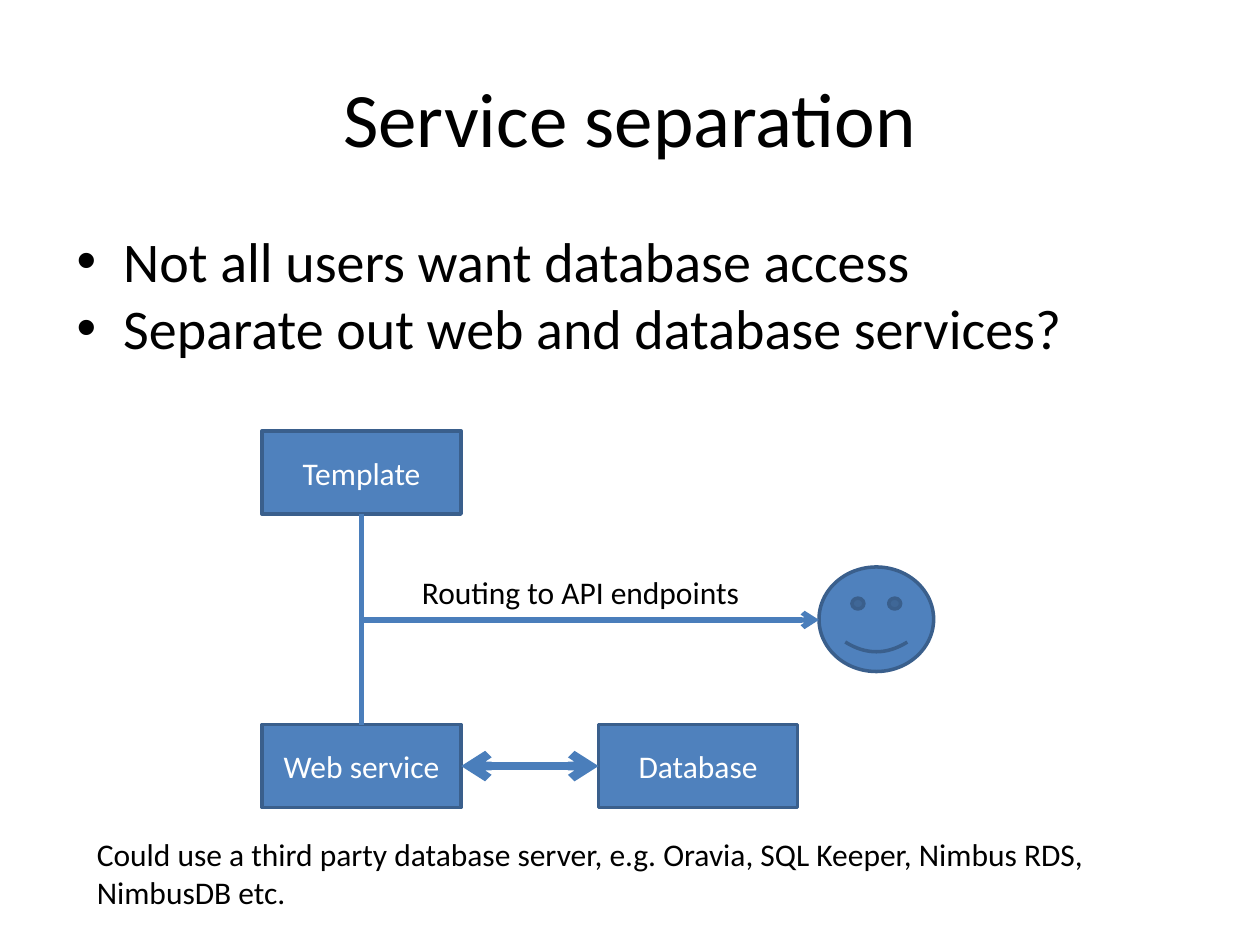
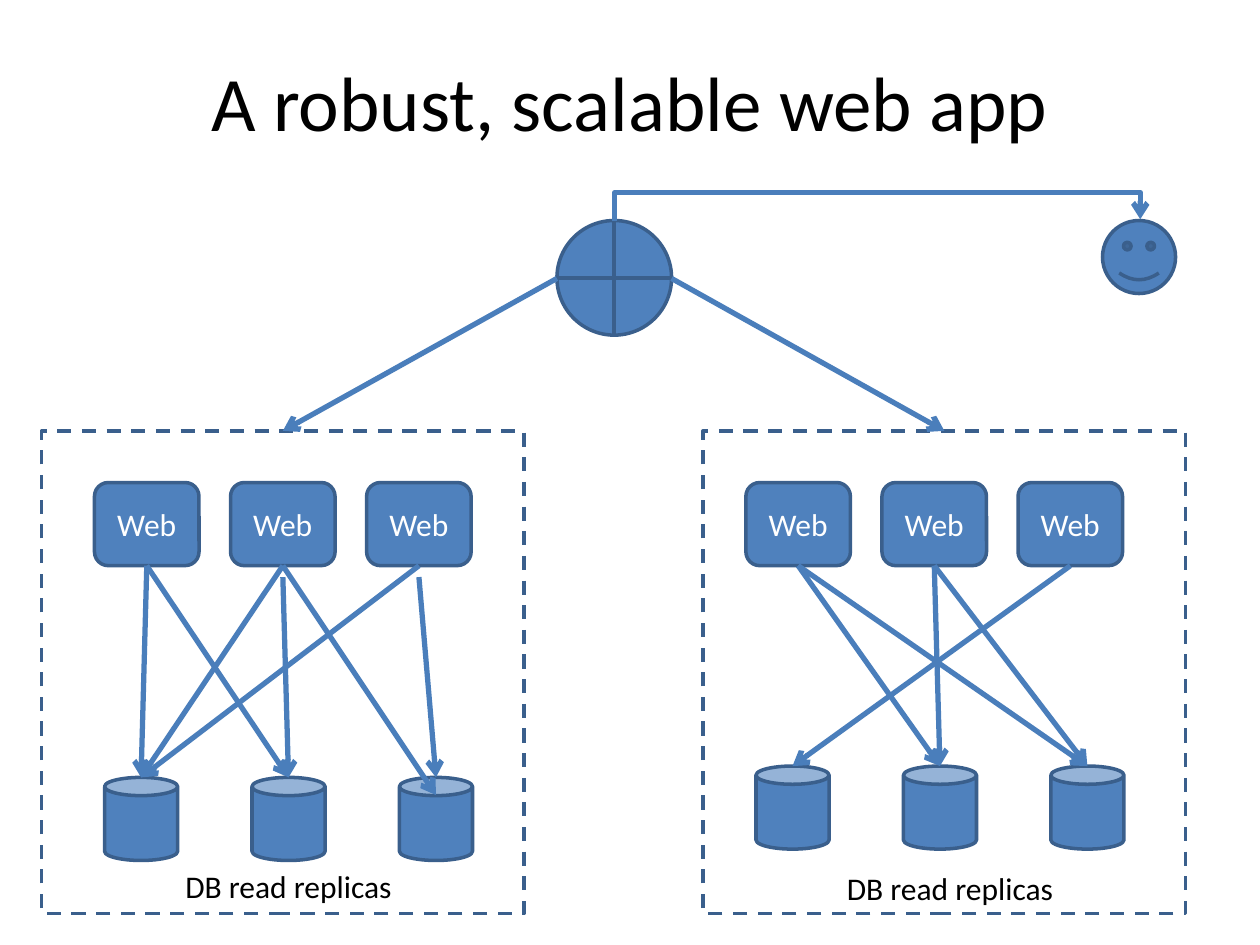
from pptx import Presentation
from pptx.dml.color import RGBColor
from pptx.enum import dml, shapes, text
from pptx.oxml.ns import qn
from pptx.util import Inches, Pt
from lxml import etree

FONT = "Calibri"
BLACK, WHITE = "000000", "FFFFFF"
FILL, OUTLINE, WIRE = "4F81BD", "3A5F8C", "4A7EBB"
SHAPE = shapes.MSO_SHAPE

SEPARATION = {
    "title": "Service separation",
    "bullets": ["Not all users want database access",
                "Separate out web and database services?"],
    "services": {"Template": (2.08, 3.42), "Web service": (2.08, 5.75),
                 "Database": (4.75, 5.75)},
    "routing": "Routing to API endpoints",
    "note": "Could use a third party database server, e.g. Oravia, "
            "SQL Keeper, Nimbus RDS, NimbusDB etc.",
}
SERVICE_SIZE = (1.58, 0.66)

SCALABLE = {"title": "A robust, scalable web app", "server": "Web",
            "replicas": "DB read replicas"}
# links: (server, replica, gap below the server, overlap into the replica)
CLUSTERS = [
    {"frame": 0.33, "servers": 0.75, "replicas": (0.83, 6.17), "label": (0.5, 6.83),
     "links": [(0, 1, 0, 0), (0, 0, 0, 0), (1, 0, 0, 0), (1, 1, 0.09, 0),
               (1, 2, 0, 0.14), (2, 0, 0, 0), (2, 2, 0.09, 0)]},
    {"frame": 5.58, "servers": 5.92, "replicas": (6, 6.08), "label": (5.75, 6.85),
     "links": [(0, 1, 0, 0), (1, 2, 0, 0), (2, 0, 0, 0), (1, 1, 0, 0), (0, 2, 0, 0)]},
]
FRAME_TOP, FRAME_SIDE = 3.42, 3.83
SERVER_TOP, SERVER_SIZE, SERVER_PITCH = 3.83, (0.83, 0.66), 1.08
REPLICA_SIZE, REPLICA_PITCH = (0.58, 0.66), 1.17


def color(hex_string):
    return RGBColor.from_string(hex_string)


def write(shape, lines, size=18, ink=BLACK, align=text.PP_ALIGN.LEFT,
          anchor=text.MSO_ANCHOR.TOP, bullet=False):
    frame = shape.text_frame
    frame.word_wrap = True
    frame.vertical_anchor = anchor
    for index, line in enumerate(lines):
        paragraph = frame.paragraphs[0] if index == 0 else frame.add_paragraph()
        paragraph.text = line
        paragraph.alignment = align
        if bullet:
            props = paragraph._p.get_or_add_pPr()
            props.set("marL", str(Inches(0.38)))
            props.set("indent", str(-Inches(0.37)))
            etree.SubElement(props, qn("a:buFont")).set("typeface", "Arial")
            etree.SubElement(props, qn("a:buChar")).set("char", "•")
        paragraph.font.name = FONT
        paragraph.font.size = Pt(size)
        paragraph.font.color.rgb = color(ink)


def add_text(slide, lines, box, **style):
    write(slide.shapes.add_textbox(*map(Inches, box)), lines, **style)


def add_title(slide, title, top):
    add_text(slide, [title], (0.5, top, 9, 1.25), size=44,
             align=text.PP_ALIGN.CENTER, anchor=text.MSO_ANCHOR.MIDDLE)


def add_node(slide, kind, box, label=None, dashed=False):
    """Filled preset shape, or an unfilled dashed frame."""
    node = slide.shapes.add_shape(kind, *map(Inches, box))
    node.shadow.inherit = False
    node.line.color.rgb = color(OUTLINE)
    node.line.width = Pt(2)
    if dashed:
        node.fill.background()
        node.line.dash_style = dml.MSO_LINE.DASH
    else:
        node.fill.solid()
        node.fill.fore_color.rgb = color(FILL)
    if label:
        write(node, [label], ink=WHITE, align=text.PP_ALIGN.CENTER,
              anchor=text.MSO_ANCHOR.MIDDLE)
    return node


def style_wire(wire, width=3, ends=("tailEnd",)):
    wire.line.color.rgb = color(WIRE)
    wire.line.width = Pt(width)
    for end in ends:
        etree.SubElement(wire.line._get_or_add_ln(), qn("a:" + end)).set("type", "arrow")


def add_wire(slide, start, end, begin=None, finish=None, **style):
    """Straight connector; begin and finish are (shape, side) joints."""
    wire = slide.shapes.add_connector(shapes.MSO_CONNECTOR.STRAIGHT,
                                      *map(Inches, start + end))
    style_wire(wire, **style)
    etree.SubElement(wire._element.spPr, qn("a:effectLst"))
    if begin:
        wire.begin_connect(*begin)
    if finish:
        wire.end_connect(*finish)


def add_bent_wire(slide, points):
    corners = [(Inches(x), Inches(y)) for x, y in points]
    builder = slide.shapes.build_freeform(*corners[0])
    builder.add_line_segments(corners[1:], close=False)
    wire = builder.convert_to_shape()
    wire.fill.background()
    style_wire(wire)
    wire.shadow.inherit = False


def build_separation(slide):
    add_title(slide, SEPARATION["title"], 0.3)
    add_text(slide, SEPARATION["bullets"], (0.5, 1.75, 9, 4.95), size=32, bullet=True)
    nodes = {name: add_node(slide, SHAPE.RECTANGLE, place + SERVICE_SIZE, name)
             for name, place in SEPARATION["services"].items()}
    add_node(slide, SHAPE.SMILEY_FACE, (6.5, 4.5, 0.91, 0.83))
    template, web, database = nodes.values()
    add_wire(slide, (2.87, 4.08), (2.87, 5.75), (template, 2), (web, 0), ends=())
    add_wire(slide, (2.87, 4.92), (6.5, 4.92))
    add_wire(slide, (3.66, 6.08), (4.75, 6.08), (web, 3), (database, 1),
             width=5, ends=("headEnd", "tailEnd"))
    add_text(slide, [SEPARATION["routing"]], (3.25, 4.5, 2.83, 0.4))
    add_text(slide, [SEPARATION["note"]], (0.67, 6.58, 8.41, 0.7))


def build_cluster(slide, cluster):
    """Draw one framed group and return its frame."""
    frame = add_node(slide, SHAPE.RECTANGLE,
                     (cluster["frame"], FRAME_TOP, FRAME_SIDE, FRAME_SIDE), dashed=True)
    server_xs = [cluster["servers"] + i * SERVER_PITCH for i in range(3)]
    servers = [add_node(slide, SHAPE.ROUNDED_RECTANGLE, (x, SERVER_TOP) + SERVER_SIZE,
                        SCALABLE["server"]) for x in server_xs]
    left, top = cluster["replicas"]
    replica_xs = [left + i * REPLICA_PITCH for i in range(3)]
    for x in replica_xs:
        add_node(slide, SHAPE.CAN, (x, top) + REPLICA_SIZE)
    for server, replica, gap, overlap in cluster["links"]:
        start = (server_xs[server] + SERVER_SIZE[0] / 2, SERVER_TOP + SERVER_SIZE[1] + gap)
        end = (replica_xs[replica] + REPLICA_SIZE[0] / 2, top + overlap)
        add_wire(slide, start, end, begin=None if gap else (servers[server], 2))
    add_text(slide, [SCALABLE["replicas"]], cluster["label"] + (3.58, 0.4),
             align=text.PP_ALIGN.CENTER)
    return frame


def build_scalable(slide):
    add_title(slide, SCALABLE["title"], 0.17)
    add_node(slide, SHAPE.FLOWCHART_OR, (4.42, 1.75, 0.91, 0.91))
    add_node(slide, SHAPE.SMILEY_FACE, (8.75, 1.75, 0.58, 0.58))
    for cluster, balancer_side in zip(CLUSTERS, (4.42, 5.33)):
        frame = build_cluster(slide, cluster)
        frame_middle = cluster["frame"] + FRAME_SIDE / 2
        add_wire(slide, (balancer_side, 2.21), (frame_middle, FRAME_TOP), finish=(frame, 0))
    add_bent_wire(slide, [(4.88, 1.75), (4.88, 1.53), (9.05, 1.53), (9.05, 1.74)])


def main():
    deck = Presentation()
    deck.slide_width, deck.slide_height = Inches(10), Inches(7.5)
    for build in (build_separation, build_scalable):
        build(deck.slides.add_slide(deck.slide_layouts[6]))
    deck.save("out.pptx")


if __name__ == "__main__":
    main()
